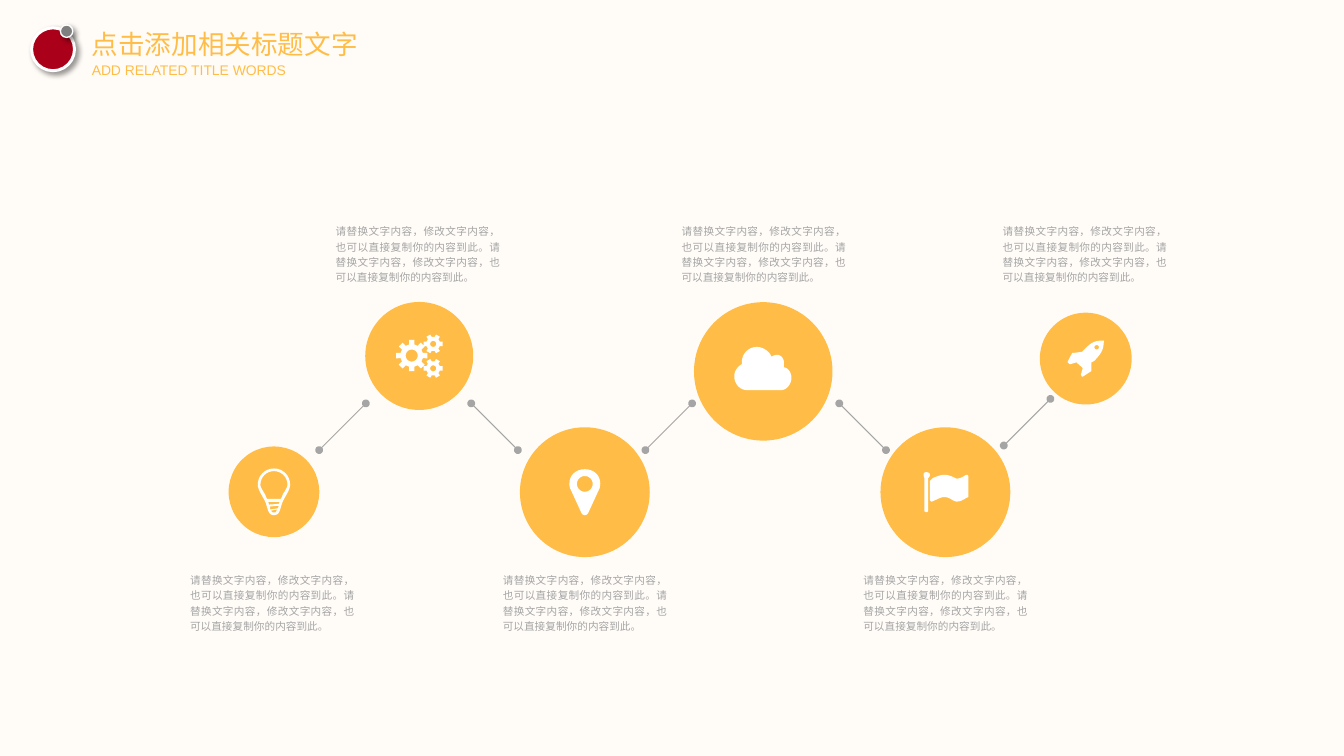
from math import cos, pi, sin

from lxml.etree import SubElement
from pptx import Presentation
from pptx.dml.color import RGBColor
from pptx.enum.shapes import MSO_CONNECTOR, MSO_SHAPE
from pptx.enum.text import PP_ALIGN
from pptx.oxml.ns import qn
from pptx.util import Cm, Pt

GOLD, GREY, WHITE = "FFBD47", "A5A5A5", "FFFFFF"
BODY = "请替换文字内容，修改文字内容，也可以直接复制你的内容到此。" * 2
HIGH, LOW = 5.92, 15.19


def tint(fill, code):
    fill.solid()
    fill.fore_color.rgb = RGBColor.from_string(code)


def ring(x, y, r, count=32):
    turns = [2 * pi * k / count for k in range(count)]
    return [(x + r * cos(t), y + r * sin(t)) for t in turns]


def gear(x, y, r, teeth, hole):
    step = 2 * pi / teeth
    tooth = [(-0.3, 0.72), (-0.22, 1), (0.22, 1), (0.3, 0.72)]
    rim = [(x + r * size * cos((k + turn) * step),
            y + r * size * sin((k + turn) * step))
           for k in range(teeth) for turn, size in tooth]
    return [rim, ring(x, y, hole)]


def trace(*parts):
    dots = []
    for part in parts:
        if len(part) == 2:
            dots.append(part)
            continue
        a, b, c, d, e, f = part
        x, y = dots[-1]
        for k in range(1, 9):
            t = k / 8
            s = 1 - t
            dots.append(tuple(
                s ** 3 * p + 3 * s * s * t * q + 3 * s * t * t * u + t ** 3 * v
                for p, q, u, v in ((x, a, c, e), (y, b, d, f))))
    return dots


def mirror(half):
    return half + [(-x, y) for x, y in reversed(half)]


BULB = [
    mirror(trace((0, -0.62), (-0.24, -0.62, -0.43, -0.43, -0.43, -0.19),
                 (-0.43, -0.04, -0.28, 0.14, -0.22, 0.29),
                 (-0.15, 0.5, -0.15, 0.62, 0, 0.62))),
    mirror(trace((0, -0.55), (-0.2, -0.55, -0.36, -0.39, -0.36, -0.19),
                 (-0.36, -0.11, -0.28, -0.01, -0.23, 0.08),
                 (-0.22, 0.12, -0.2, 0.16, -0.18, 0.19))),
    trace((-0.15, 0.27), (0.15, 0.27), (0.13, 0.32), (-0.13, 0.34)),
    trace((-0.1, 0.39), (0.13, 0.37), (0.1, 0.44), (-0.1, 0.47)),
    trace((-0.08, 0.5), (0.08, 0.47), (0.05, 0.55, 0.05, 0.55, 0, 0.55),
          (-0.03, 0.55, -0.05, 0.55, -0.08, 0.5)),
]
GEARS = [*gear(-0.2, -0.01, 0.42, 8, 0.16),
         *gear(0.37, -0.32, 0.26, 6, 0.08),
         *gear(0.37, 0.33, 0.26, 6, 0.08)]
PIN = [
    mirror(trace((0, -0.61), (-0.23, -0.61, -0.41, -0.46, -0.41, -0.23),
                 (-0.41, -0.18, -0.4, -0.1, -0.38, -0.08), (-0.1, 0.53),
                 (-0.08, 0.58, -0.05, 0.61, 0, 0.61))),
    ring(0, -0.22, 0.21),
]
CLOUD = [
    trace((0.47, 0.5), (-0.42, 0.5), (-0.62, 0.5, -0.77, 0.34, -0.77, 0.12),
          (-0.77, -0.01, -0.67, -0.14, -0.57, -0.19), (-0.57, -0.24),
          (-0.57, -0.47, -0.39, -0.65, -0.17, -0.65),
          (0.01, -0.65, 0.17, -0.52, 0.22, -0.39),
          (0.27, -0.42, 0.32, -0.44, 0.37, -0.44),
          (0.47, -0.44, 0.55, -0.34, 0.55, -0.24), (0.55, -0.11),
          (0.67, -0.09, 0.75, 0.04, 0.75, 0.17),
          (0.75, 0.34, 0.62, 0.5, 0.47, 0.5)),
]
FLAG = [
    trace((-0.46, -0.38), (-0.46, 0.51), (-0.48, 0.53), (-0.51, 0.53),
          (-0.56, 0.51), (-0.56, -0.38),
          (-0.56, -0.38, -0.58, -0.43, -0.58, -0.46),
          (-0.58, -0.51, -0.56, -0.53, -0.51, -0.53),
          (-0.46, -0.53, -0.41, -0.51, -0.41, -0.46),
          (-0.41, -0.43, -0.43, -0.38, -0.46, -0.38)),
    trace((0.61, 0.13), (0.56, 0.15), (0.48, 0.2, 0.41, 0.25, 0.3, 0.25),
          (0.2, 0.25, 0.13, 0.13, -0.03, 0.13),
          (-0.13, 0.13, -0.23, 0.2, -0.36, 0.25),
          (-0.38, 0.25, -0.41, 0.23, -0.41, 0.2), (-0.41, -0.3),
          (-0.38, -0.33), (-0.33, -0.38),
          (-0.23, -0.41, -0.15, -0.46, -0.03, -0.46),
          (0.08, -0.46, 0.15, -0.43, 0.25, -0.38), (0.3, -0.36),
          (0.43, -0.36, 0.53, -0.46, 0.56, -0.46),
          (0.58, -0.46, 0.61, -0.46, 0.61, -0.41)),
]
ROCKET = [
    trace((0.28, 0), (0.25, 0.05, 0.2, 0.08, 0.15, 0.1), (0.15, 0.33),
          (-0.08, 0.48), (-0.1, 0.48), (-0.13, 0.43), (-0.08, 0.25),
          (-0.25, 0.1), (-0.41, 0.15), (-0.43, 0.15), (-0.48, 0.1),
          (-0.48, 0.08), (-0.36, -0.15), (-0.33, -0.15), (-0.1, -0.18),
          (0, -0.28), (0.15, -0.43, 0.25, -0.48, 0.46, -0.48),
          (0.48, -0.48), (0.48, -0.28, 0.43, -0.15, 0.28, 0)),
    ring(0.29, -0.3, 0.06),
]
STEPS = [
    (7.28, 13.07, 2.41, BULB, 5.05, LOW),
    (11.14, 9.46, 2.87, GEARS, 8.92, HIGH),
    (15.54, 13.08, 3.45, PIN, 13.36, LOW),
    (20.28, 9.87, 3.68, CLOUD, 18.11, HIGH),
    (25.12, 13.08, 3.45, FLAG, 22.94, LOW),
    (28.85, 9.53, 2.44, ROCKET, 26.64, HIGH),
]
LINKS = [(8.48, 11.96, -1), (12.52, 10.72, 1), (17.15, 11.96, -1),
         (22.3, 10.72, 1), (26.67, 11.84, -1)]


def disc(shapes, x, y, size, code):
    left, top = Cm(x - size / 2), Cm(y - size / 2)
    dot = shapes.add_shape(MSO_SHAPE.OVAL, left, top, Cm(size), Cm(size))
    dot.shadow.inherit = False
    tint(dot.fill, code)
    dot.line.fill.background()
    return dot


def icon(shapes, x, y, loops):
    loops = [[(Cm(x + a), Cm(y + b)) for a, b in loop] for loop in loops]
    pen = shapes.build_freeform(*loops[0][0], scale=1.0)
    pen.add_line_segments(loops[0][1:])
    for loop in loops[1:]:
        pen.move_to(*loop[0])
        pen.add_line_segments(loop[1:])
    form = pen.convert_to_shape()
    form.shadow.inherit = False
    tint(form.fill, WHITE)
    form.line.fill.background()


def link(shapes, x, y, way):
    span = 1.24
    line = shapes.add_connector(MSO_CONNECTOR.STRAIGHT, Cm(x), Cm(y),
                                Cm(x + span), Cm(y + way * span))
    tint(line.line.fill, GREY)
    line.line.width = Pt(0.75)
    props = line._element.spPr
    for end in ("a:headEnd", "a:tailEnd"):
        SubElement(props.find(qn("a:ln")), qn(end), type="oval")
    SubElement(props, qn("a:effectLst"))


def label(shapes, x, y, wide, high, text, size, code):
    frame = shapes.add_textbox(Cm(x), Cm(y), Cm(wide), Cm(high)).text_frame
    frame.word_wrap = True
    frame.margin_left = frame.margin_right = 0
    frame.margin_top = frame.margin_bottom = 0
    para = frame.paragraphs[0]
    run = para.add_run()
    run.text = text
    run.font.name = "Arial"
    run.font.size = Pt(size)
    tint(run.font.fill, code)
    return para


def badge(shapes, x, y, size, code, edge):
    dot = disc(shapes, x, y, size, code)
    tint(dot.line.fill, WHITE)
    dot.line.width = Pt(edge)
    glow = SubElement(dot._element.spPr.find(qn("a:effectLst")),
                      qn("a:outerShdw"), blurRad=str(Pt(4)),
                      dist=str(Pt(3)), dir="2700000", rotWithShape="0")
    black = SubElement(glow, qn("a:srgbClr"), val="000000")
    SubElement(black, qn("a:alpha"), val="40000")


def main():
    deck = Presentation()
    deck.slide_width, deck.slide_height = Cm(35.71), Cm(20.09)
    slide = deck.slides.add_slide(deck.slide_layouts[6])
    tint(slide.background.fill, "FFFCF8")
    shapes = slide.shapes
    for x, y, size, loops, left, top in STEPS:
        group = shapes.add_group_shape().shapes
        disc(group, x, y, size, GOLD)
        icon(group, x, y, loops)
        para = label(shapes, left, top, 4.37, 1.6, BODY, 8, GREY)
        para.alignment = PP_ALIGN.JUSTIFY
        para.line_spacing = 1.2
    for x, y, way in LINKS:
        link(shapes, x, y, way)
    label(shapes, 2.44, 0.74, 7.11, 0.86, "点击添加相关标题文字", 20, GOLD)
    label(shapes, 2.44, 1.63, 5.28, 0.46, "ADD RELATED TITLE WORDS", 10.5, GOLD)
    badge(shapes, 1.41, 1.31, 1.14, "AB0019", 2.25)
    badge(shapes, 1.77, 0.83, 0.33, "7F7F7F", 1)
    deck.save("out.pptx")


if __name__ == "__main__":
    main()
